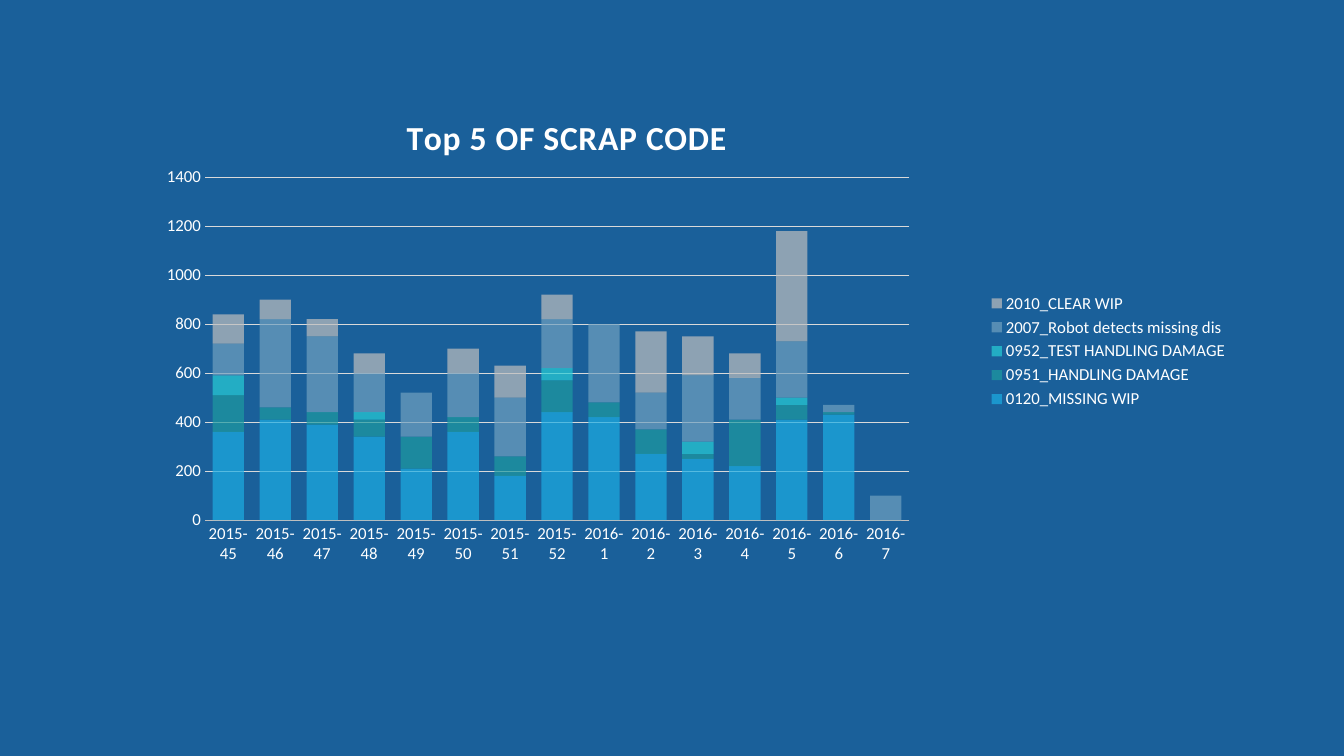
import pptx
import pptx.chart.data
import pptx.dml.color
import pptx.enum.chart
import pptx.oxml
import pptx.oxml.ns
import pptx.util
from dataclasses import dataclass
from pptx.util import Inches


@dataclass(frozen=True)
class Theme:
    font: str = "Calibri"
    background: str = "1A609A"
    text: str = "FFFFFF"
    grid: str = "D9D9D9"
    axis: str = "BFBFBF"
    title_size: int = 24
    label_size: int = 12
    line_width: float = 0.75
    bar_opacity: int = 70


THEME = Theme()

WEEKS = [f"2015-{week}" for week in range(45, 53)] + [f"2016-{week}" for week in range(1, 8)]

SCRAP_CODES = [
    ("0120_MISSING WIP", "1CADE4",
     [360, 410, 390, 340, 210, 360, 180, 440, 420, 270, 250, 220, 410, 430, None]),
    ("0951_HANDLING DAMAGE", "1D9BA1",
     [150, 50, 50, 70, 130, 60, 80, 130, 60, 100, 20, 190, 60, 10, 0]),
    ("0952_TEST HANDLING DAMAGE", "27CED7",
     [80, 0, 0, 30, None, None, None, 50, None, None, 50, None, 30, None, None]),
    ("2007_Robot detects missing dis", "70A1C0",
     [130, 360, 310, 160, 180, 180, 240, 200, 320, 150, 270, 170, 230, 30, 100]),
    ("2010_CLEAR WIP", "BFBFBF",
     [120, 80, 70, 80, None, 100, 130, 100, None, 250, 160, 100, 450, None, None]),
]


def color(value):
    return pptx.dml.color.RGBColor.from_string(value)


def style_font(font, size, bold=False):
    font.name = THEME.font
    font.size = pptx.util.Pt(size)
    font.bold = bold
    font.color.rgb = color(THEME.text)


def style_line(line, value):
    line.color.rgb = color(value)
    line.width = pptx.util.Pt(THEME.line_width)


def set_layout(element, position, inner=False, **fractions):
    for layout in element.findall(pptx.oxml.ns.qn("c:layout")):
        element.remove(layout)
    target = '<c:layoutTarget val="inner"/>' if inner else ""
    modes = "".join(f'<c:{name}Mode val="edge"/>' for name in ("x", "y"))
    values = "".join(f'<c:{name} val="{value}"/>' for name, value in fractions.items())
    element.insert(position, pptx.oxml.parse_xml(
        f'<c:layout {pptx.oxml.ns.nsdecls("c")}><c:manualLayout>'
        f"{target}{modes}{values}</c:manualLayout></c:layout>"))


def style_title(chart):
    chart.has_title = True
    title = chart.chart_title
    run = title.text_frame.paragraphs[0].add_run()
    run.text = "Top 5 OF SCRAP CODE"
    style_font(run.font, THEME.title_size, bold=True)
    run.font._element.set("spc", "50")
    set_layout(title._element, 1, x=0.25, y=0.03)


def style_axes(chart):
    for axis in (chart.category_axis, chart.value_axis):
        axis.major_tick_mark = pptx.enum.chart.XL_TICK_MARK.NONE
        axis.minor_tick_mark = pptx.enum.chart.XL_TICK_MARK.NONE
        style_font(axis.tick_labels.font, THEME.label_size)
    style_line(chart.category_axis.format.line, THEME.axis)
    value_axis = chart.value_axis
    value_axis.format.line.fill.background()
    value_axis.minimum_scale = 0
    value_axis.maximum_scale = 1400
    value_axis.major_unit = 200
    value_axis.has_major_gridlines = True
    style_line(value_axis.major_gridlines.format.line, THEME.grid)


def style_bars(plot):
    plot.gap_width = 50
    plot.overlap = 100
    plot.vary_by_categories = False
    for series, (_, fill_color, _) in zip(plot.series, SCRAP_CODES):
        series.invert_if_negative = False
        series.format.fill.solid()
        series.format.fill.fore_color.rgb = color(fill_color)
        series.format.line.fill.background()
        for rgb in series._element.xpath("c:spPr/a:solidFill/a:srgbClr"):
            rgb.append(pptx.oxml.parse_xml(
                f'<a:alpha {pptx.oxml.ns.nsdecls("a")} val="{THEME.bar_opacity * 1000}"/>'))


def style_legend(chart):
    chart.has_legend = True
    chart.legend.position = pptx.enum.chart.XL_LEGEND_POSITION.RIGHT
    chart.legend.include_in_layout = False
    style_font(chart.legend.font, THEME.label_size)


def add_scrap_chart(slide, left, top, width, height):
    data = pptx.chart.data.CategoryChartData()
    data.categories = WEEKS
    for name, _, values in SCRAP_CODES:
        data.add_series(name, values)
    chart = slide.shapes.add_chart(
        pptx.enum.chart.XL_CHART_TYPE.COLUMN_STACKED, left, top, width, height, data).chart
    style_font(chart.font, THEME.label_size)
    style_title(chart)
    style_axes(chart)
    style_bars(chart.plots[0])
    style_legend(chart)
    plot_area = chart._chartSpace.chart.plotArea
    set_layout(plot_area, 0, inner=True, x=0.075, y=0.162, w=0.63, h=0.666)


def main():
    presentation = pptx.Presentation()
    presentation.slide_width = Inches(13.33)
    presentation.slide_height = Inches(7.5)
    slide = presentation.slides.add_slide(presentation.slide_layouts[6])
    slide.background.fill.solid()
    slide.background.fill.fore_color.rgb = color(THEME.background)
    add_scrap_chart(slide, Inches(1.2), Inches(0.93), Inches(11.09), Inches(5.11))
    presentation.save("out.pptx")


if __name__ == "__main__":
    main()
